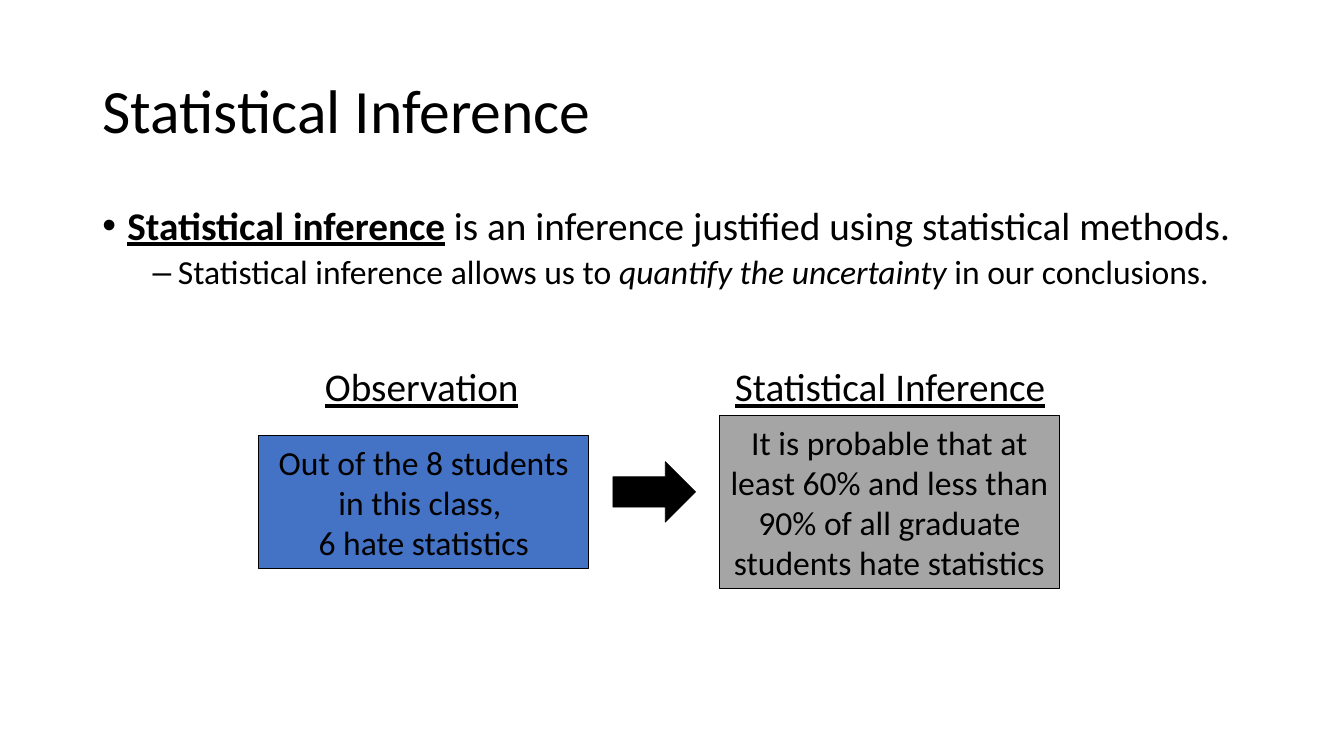
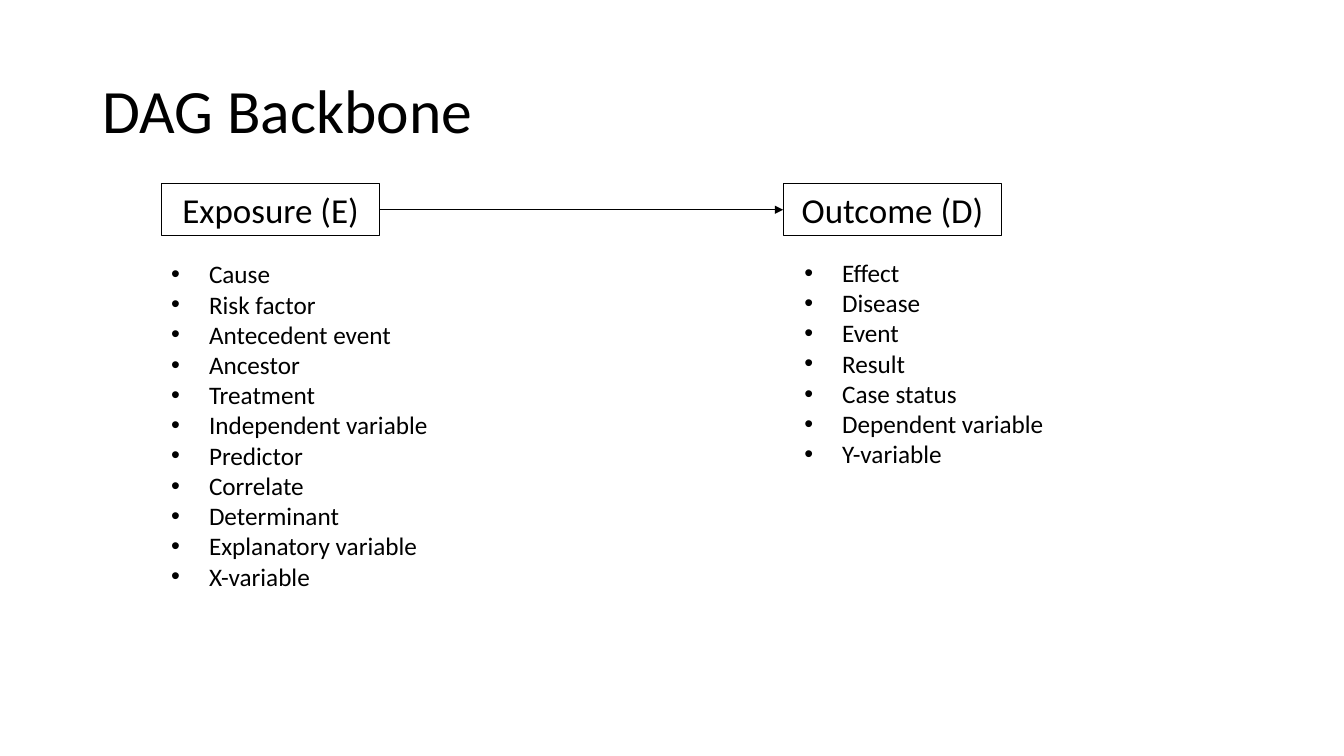
from lxml.etree import SubElement
from pptx import Presentation
from pptx.dml.color import RGBColor
from pptx.enum.shapes import MSO_CONNECTOR, MSO_SHAPE
from pptx.enum.text import MSO_ANCHOR, MSO_AUTO_SIZE, PP_ALIGN
from pptx.oxml.ns import qn
from pptx.util import Pt

BLACK, BLUE, GRAY = "000000", "4472C4", "A5A5A5"
BOLD, UNDERLINE, ITALIC = {"bold": True}, {"underline": True}, {"italic": True}
CENTERED = {"alignment": PP_ALIGN.CENTER}
TIGHT = {"line_spacing": 0.9}


def rgb(value):
    return RGBColor.from_string(value)


def assign(target, formats):
    for name, value in formats.items():
        setattr(target, name, value)


class Deck:
    font = "Calibri"
    left, title_top, content_width, title_height = 66, 29, 828, 104

    def __init__(self):
        self.presentation = Presentation()
        assign(self.presentation, {"slide_width": Pt(960), "slide_height": Pt(540)})
        self.slide = None

    def new_slide(self, title):
        self.slide = self.presentation.slides.add_slide(self.presentation.slide_layouts[5])
        heading = self.slide.shapes.title
        assign(heading, {"left": Pt(self.left), "top": Pt(self.title_top),
                         "width": Pt(self.content_width), "height": Pt(self.title_height)})
        frame = self.frame(heading, MSO_ANCHOR.MIDDLE)
        self.paragraph(frame, [(title, {})], 44, {"alignment": PP_ALIGN.LEFT, **TIGHT})

    def frame(self, holder, anchor=MSO_ANCHOR.TOP):
        assign(holder.text_frame, {"word_wrap": True, "auto_size": MSO_AUTO_SIZE.NONE,
                                   "vertical_anchor": anchor})
        return holder.text_frame

    def paragraph(self, frame, runs, size, formats, bullet=None, margin=0, hanging=0):
        paragraph = frame.paragraphs[0]
        if paragraph.runs:
            paragraph = frame.add_paragraph()
        if bullet:
            properties = paragraph._p.get_or_add_pPr()
            properties.set("marL", str(Pt(margin)))
            properties.set("indent", str(-Pt(hanging)))
            SubElement(properties, qn("a:buFont"), typeface="Arial")
            SubElement(properties, qn("a:buChar"), char=bullet)
        assign(paragraph, formats)
        for text, emphasis in runs:
            run = paragraph.add_run()
            run.text = text
            assign(run.font, {"name": self.font, "size": Pt(size), **emphasis})
            run.font.color.rgb = rgb(BLACK)

    def text_box(self, left, top, width, height):
        return self.frame(self.slide.shapes.add_textbox(Pt(left), Pt(top), Pt(width), Pt(height)))

    def label(self, text, left, top, width, height):
        frame = self.text_box(left, top, width, height)
        self.paragraph(frame, [(text, UNDERLINE)], 28, CENTERED)

    def bullets(self, entries, left, top, width, height):
        frame = self.text_box(left, top, width, height)
        for entry in entries:
            self.paragraph(frame, [(entry, {})], 18, {}, "•", 27, 27)

    def shape(self, kind, left, top, width, height, fill=None, weight=0.75):
        shape = self.slide.shapes.add_shape(kind, Pt(left), Pt(top), Pt(width), Pt(height))
        shape.shadow.inherit = False
        if fill:
            shape.fill.solid()
            shape.fill.fore_color.rgb = rgb(fill)
        else:
            shape.fill.background()
        shape.line.color.rgb = rgb(BLACK)
        shape.line.width = Pt(weight)
        return shape

    def box(self, lines, size, left, top, width, height, fill=None, anchor=MSO_ANCHOR.MIDDLE):
        box = self.shape(MSO_SHAPE.RECTANGLE, left, top, width, height, fill)
        frame = self.frame(box, anchor)
        for line in lines:
            self.paragraph(frame, [(line, {})], size, CENTERED)
        return box

    def arrow(self, source, target):
        arrow = self.slide.shapes.add_connector(MSO_CONNECTOR.STRAIGHT, 0, 0, 0, 0)
        arrow.begin_connect(source, 3)
        arrow.end_connect(target, 1)
        arrow.line.color.rgb = rgb(BLACK)
        arrow.line.width = Pt(0.5)
        SubElement(arrow.line._get_or_add_ln(), qn("a:tailEnd"), type="triangle")
        SubElement(arrow._element.spPr, qn("a:effectLst"))


def build_inference(deck):
    deck.new_slide("Statistical Inference")
    definition = deck.text_box(deck.left, 144, deck.content_width, 343)
    deck.paragraph(definition, [
        ("Statistical inference", {**BOLD, **UNDERLINE}),
        (" ", BOLD),
        ("is an inference justified using statistical methods.", {}),
    ], 28, TIGHT, "•", 18, 18)
    deck.paragraph(definition, [
        ("Statistical inference allows us to ", {}),
        ("quantify the uncertainty ", ITALIC),
        ("in our conclusions.", {}),
    ], 24, {"level": 1, "space_before": Pt(5), **TIGHT}, "–", 54, 18)

    middle = 358.6
    observation = ["Out of the 8 students in this class, ", "6 hate statistics"]
    inference = ["It is probable that at least 60% and less than 90% of all graduate "
                 "students hate statistics"]
    for heading, heading_left, heading_width, lines, left, width, height, fill in (
        ("Observation", 180, 242.6, observation, 185, 235.4, 94.4, BLUE),
        ("Statistical Inference", 469.4, 332.6, inference, 514, 242.6, 123.8, GRAY),
    ):
        deck.box(lines, 24, left, middle - height / 2, width, height, fill)
        deck.label(heading, heading_left, 255.6, heading_width, 41)
    arrow_height = 43.2
    deck.shape(MSO_SHAPE.RIGHT_ARROW, 437.8, 351.4 - arrow_height / 2, 59, arrow_height,
               BLACK, 0.5)


def build_backbone(deck):
    deck.new_slide("DAG Backbone")
    exposure_terms = ["Cause", "Risk factor", "Antecedent event", "Ancestor", "Treatment",
                      "Independent variable", "Predictor", "Correlate", "Determinant",
                      "Explanatory variable", "X-variable"]
    outcome_terms = ["Effect", "Disease", "Event", "Result", "Case status",
                     "Dependent variable", "Y-variable"]
    ends = []
    for name, left, terms, terms_left, terms_top, terms_height in (
        ("Exposure (E)", 115.2, exposure_terms, 115.2, 181.2, 269),
        ("Outcome (D)", 559.4, outcome_terms, 567.4, 180.2, 160),
    ):
        deck.bullets(terms, terms_left, terms_top, 228, terms_height)
        ends.append(deck.box([name], 25, left, 131, 156.2, 37.6, anchor=MSO_ANCHOR.TOP))
    deck.arrow(*ends)


def main():
    deck = Deck()
    build_inference(deck)
    build_backbone(deck)
    deck.presentation.save("out.pptx")


if __name__ == "__main__":
    main()
